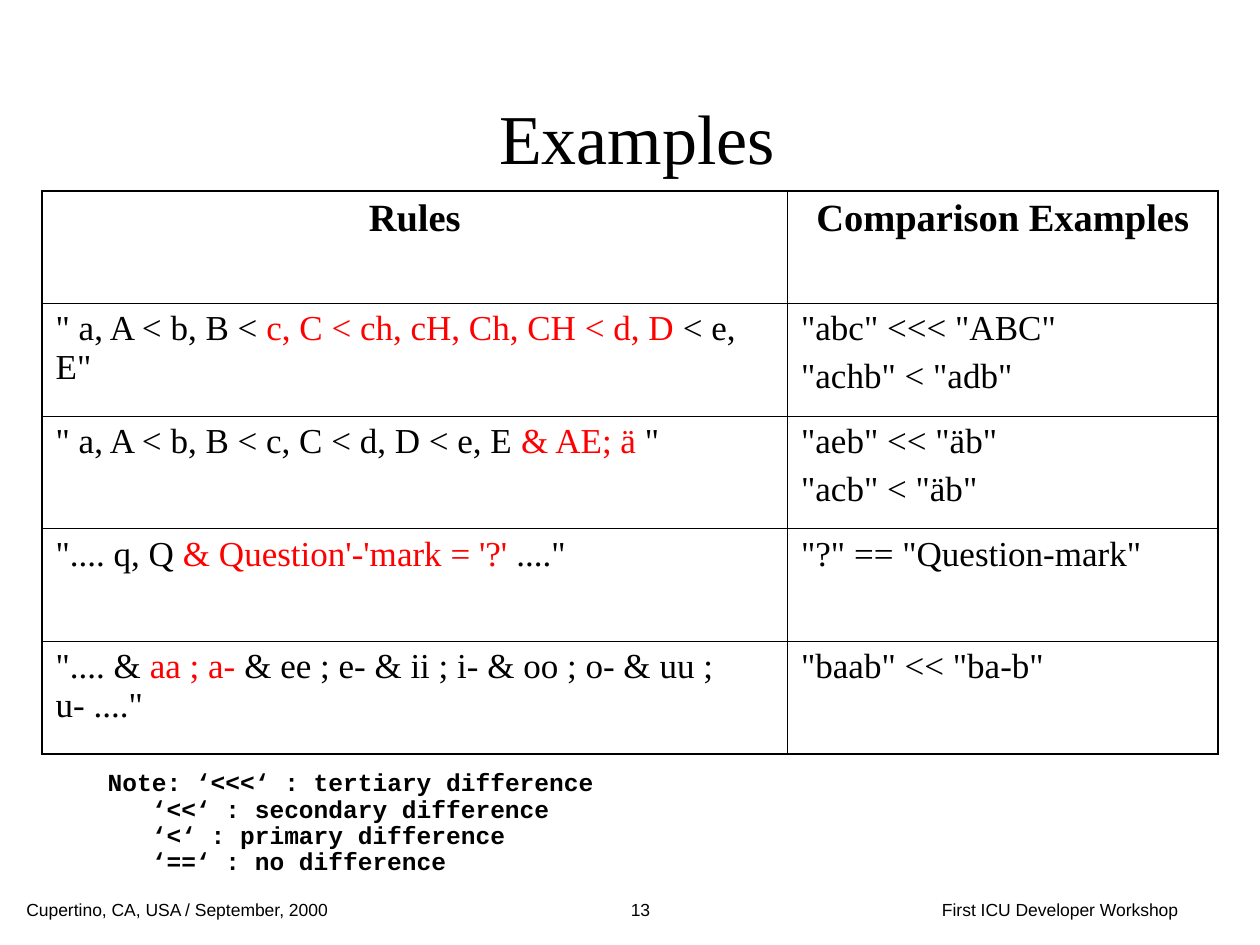
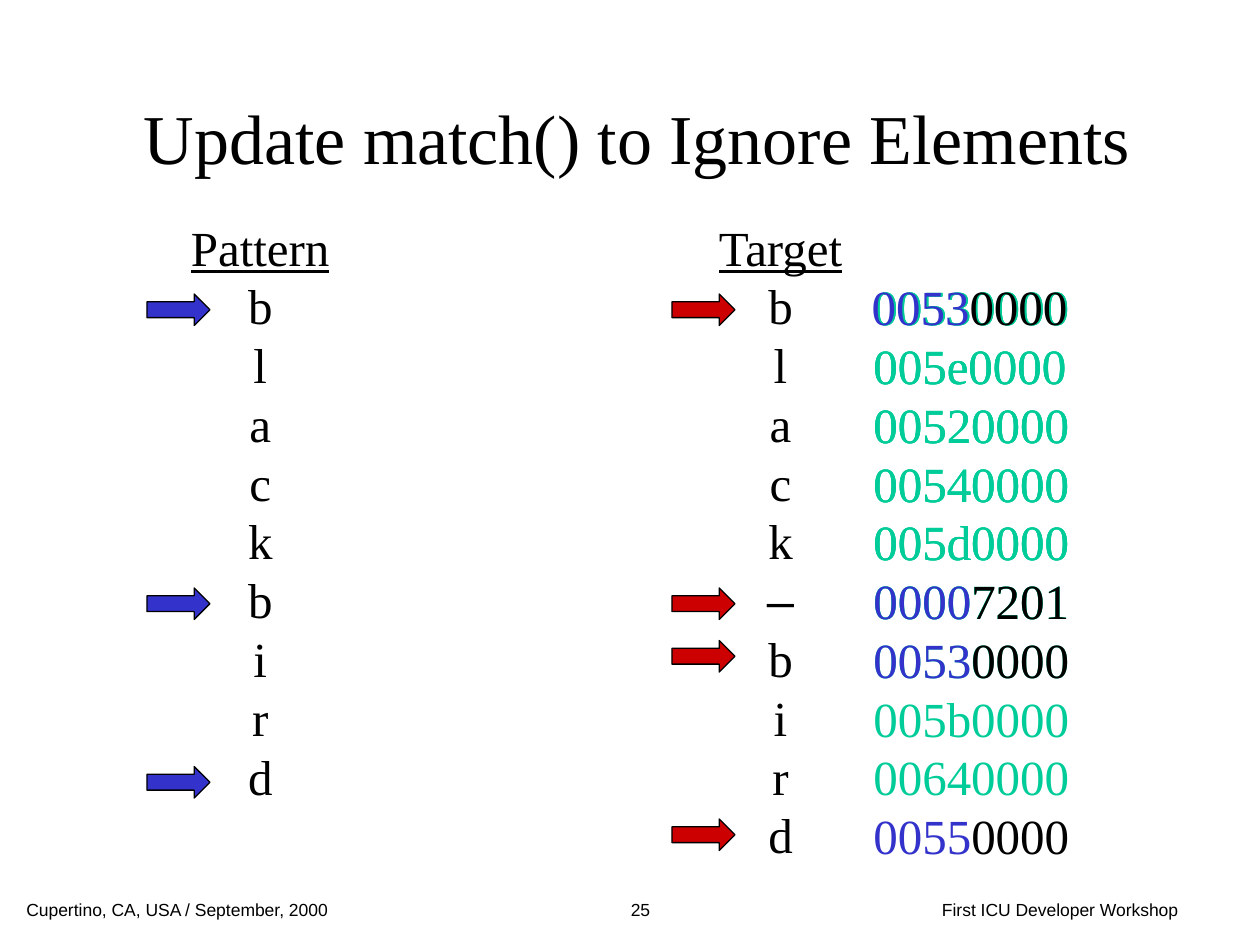
import pptx
import pptx.util
import pptx.dml.color
import pptx.enum.shapes
import pptx.enum.text
import pptx.oxml.ns
from dataclasses import dataclass
from lxml import etree

Pt = pptx.util.Pt
ALIGN = pptx.enum.text.PP_ALIGN
ANCHOR = pptx.enum.text.MSO_ANCHOR


@dataclass(frozen=True)
class Theme:
    serif: str = "Times New Roman"
    sans: str = "Arial"
    mono: str = "Courier New"
    black: str = "000000"
    red: str = "FF0000"
    blue: str = "3333CC"
    dark_red: str = "CC0000"
    green: str = "00CC99"
    title: float = 40
    column: float = 28
    header: float = 22
    cell: float = 20
    note: float = 14
    footer: float = 10
    line_pitch: float = 33.6
    note_pitch: float = 15.1
    outer_line: float = 1.08
    inner_line: float = 0.45


T = Theme()

RULES = [
    (('" a, A < b, B < ', "c, C < ch, cH, Ch, CH < d, D", ' < e, E"'),
     ['"abc" <<< "ABC"', '"achb" < "adb"']),
    (('" a, A < b, B < c, C < d, D < e, E ', "& AE; ä", ' "'),
     ['"aeb" << "äb"', '"acb" < "äb"']),
    (('".... q, Q ', "& Question'-'mark = '?'", ' ...."'),
     ['"?" == "Question-mark"']),
    (('".... & ', "aa ; a-", ' & ee ; e- & ii ; i- & oo ; o- & uu ; u- ...."'),
     ['"baab" << "ba-b"']),
]
NOTE = ["Note: ‘<<<‘ : tertiary difference", "‘<<‘ : secondary difference",
        "‘<‘ : primary difference", "‘==‘ : no difference"]
KEYS = ["00530000", "005e0000", "00520000", "00540000", "005d0000",
        "00007201", "00530000", "005b0000", "00640000", "00550000"]


def rgb(color):
    return pptx.dml.color.RGBColor.from_string(color)


def style(r, size, font=T.serif, color=T.black, bold=False, underline=False):
    r.font.size = Pt(size)
    r.font.name = font
    r.font.color.rgb = rgb(color)
    r.font.bold = bold
    r.font.underline = underline


def write(p, parts, size, font=T.serif, bold=False, underline=False, align=ALIGN.LEFT):
    """Fill a paragraph from (text, colour) parts."""
    p.alignment = align
    for text, color in parts:
        r = p.add_run()
        r.text = text
        style(r, size, font, color, bold, underline)


def paragraphs(tf, count):
    return [tf.paragraphs[0]] + [tf.add_paragraph() for _ in range(count - 1)]


def add_text(slide, x, y, w, h, count=1, wrap=True):
    """Add a text box and return its empty paragraphs."""
    tf = slide.shapes.add_textbox(Pt(x), Pt(y), Pt(w), Pt(h)).text_frame
    tf.word_wrap = wrap
    return paragraphs(tf, count)


def add_slide(prs, title, number):
    """Add a slide with the shared title and footers."""
    slide = prs.slides.add_slide(prs.slide_layouts[5])
    s = slide.shapes.title
    s.left, s.top, s.width, s.height = Pt(73), Pt(48), Pt(582), Pt(60.5)
    tf = s.text_frame
    tf.text = title
    tf.vertical_anchor = ANCHOR.MIDDLE
    tf.paragraphs[0].alignment = ALIGN.CENTER
    style(tf.paragraphs[0].runs[0], T.title)
    footers = [("First ICU Developer Workshop", 498, 215.5, ALIGN.CENTER),
               (str(number), 294, 144, ALIGN.CENTER),
               ("Cupertino, CA, USA / September, 2000", 8, 202, ALIGN.LEFT)]
    for text, x, w, align in footers:
        p, = add_text(slide, x, 510, w, 12)
        write(p, [(text, T.black)], T.footer, T.sans, align=align)
    return slide


def set_borders(cell, widths):
    """Draw cell borders from widths keyed by side: L, R, T, B."""
    tc_pr = cell._tc.get_or_add_tcPr()
    for i, (side, width) in enumerate(widths.items()):
        ln = etree.Element(pptx.oxml.ns.qn(f"a:ln{side}"), w=str(int(Pt(width))))
        fill = etree.SubElement(ln, pptx.oxml.ns.qn("a:solidFill"))
        etree.SubElement(fill, pptx.oxml.ns.qn("a:srgbClr"), val=T.black)
        tc_pr.insert(i, ln)


def add_rules_table(slide):
    rows = len(RULES) + 1
    s = slide.shapes.add_table(rows, 2, Pt(24), Pt(109), Pt(672), Pt(322))
    table = s.table
    table.columns[0].width, table.columns[1].width = Pt(426), Pt(246)

    # Header row, then one row for each rule
    for cell, text in zip(table.rows[0].cells, ("Rules", "Comparison Examples")):
        write(cell.text_frame.paragraphs[0], [(text, T.black)], T.header,
              bold=True, align=ALIGN.CENTER)
    for i, (rule, examples) in enumerate(RULES, 1):
        write(table.cell(i, 0).text_frame.paragraphs[0],
              zip(rule, (T.black, T.red, T.black)), T.cell)
        ps = paragraphs(table.cell(i, 1).text_frame, len(examples))
        for p, text in zip(ps, examples):
            write(p, [(text, T.black)], T.cell)
        for p in ps[1:]:
            p.space_before = Pt(5)

    # Heavy frame, thin inner lines
    for i in range(rows):
        table.rows[i].height = Pt(64.4)
        for j in range(2):
            cell = table.cell(i, j)
            cell.fill.background()
            cell.margin_left = cell.margin_right = Pt(7.8)
            outer = {"L": j == 0, "R": j == 1, "T": i == 0, "B": i == rows - 1}
            set_borders(cell, {side: T.outer_line if edge else T.inner_line
                               for side, edge in outer.items()})


def add_note(slide):
    ps = add_text(slide, 54.5, 436.5, 546, 68, len(NOTE))
    for i, (p, text) in enumerate(zip(ps, NOTE)):
        p.line_spacing = Pt(T.note_pitch)
        if i:
            p._p.get_or_add_pPr().set("marL", str(int(Pt(25.2))))
        write(p, [(text, T.black)], T.note, T.mono, bold=True)


def add_letters(slide, x, w, heading, letters):
    """Add an underlined heading with one letter a line below it."""
    ps = add_text(slide, x, 120.5, w, T.line_pitch * (len(letters) + 1) + 7.2,
                  len(letters) + 1, wrap=False)
    for p, text in zip(ps, [heading, *letters]):
        p.line_spacing = Pt(T.line_pitch)
        write(p, [(text, T.black)], T.column, T.sans if text == "–" else T.serif,
              underline=text == heading, align=ALIGN.CENTER)


def add_keys(slide, x, keys):
    """List sort keys; the last one shows its primary weight in blue."""
    ps = add_text(slide, x, 121 + T.line_pitch, 126,
                  T.line_pitch * len(keys) + 7.2, len(keys), wrap=False)
    for p, key in zip(ps, keys):
        p.line_spacing = Pt(T.line_pitch)
        parts = [(key, T.green)]
        if p is ps[-1]:
            parts = [(key[:4], T.blue), (key[4:], T.black)]
        write(p, parts, T.column)


def add_arrow(slide, x, y, color):
    s = slide.shapes.add_shape(pptx.enum.shapes.MSO_SHAPE.RIGHT_ARROW,
                               Pt(x), Pt(y), Pt(36), Pt(18))
    s.shadow.inherit = False
    s.fill.solid()
    s.fill.fore_color.rgb = rgb(color)
    s.line.color.rgb = rgb(T.black)
    s.line.width = Pt(0.75)


def main():
    prs = pptx.Presentation()
    prs.slide_width, prs.slide_height = Pt(720), Pt(540)

    # Collation rules
    slide = add_slide(prs, "Examples", 13)
    add_rules_table(slide)
    add_note(slide)

    # Matching steps: (keys shown, pattern arrow, target arrow)
    slide = add_slide(prs, "Update match() to Ignore Elements", 25)
    add_letters(slide, 102, 93.5, "Pattern", "blackbird")
    add_letters(slide, 402.5, 87, "Target", "black–bird")
    steps = [(10, 438, 468), (7, None, 366), (6, 336, 336), (1, 168, 168)]
    for count, pattern_y, target_y in steps:
        add_keys(slide, 491 if count == 1 else 492, KEYS[:count])
        if pattern_y is not None:
            add_arrow(slide, 84, pattern_y, T.blue)
        add_arrow(slide, 384, target_y, T.dark_red)

    prs.save("out.pptx")


if __name__ == "__main__":
    main()
